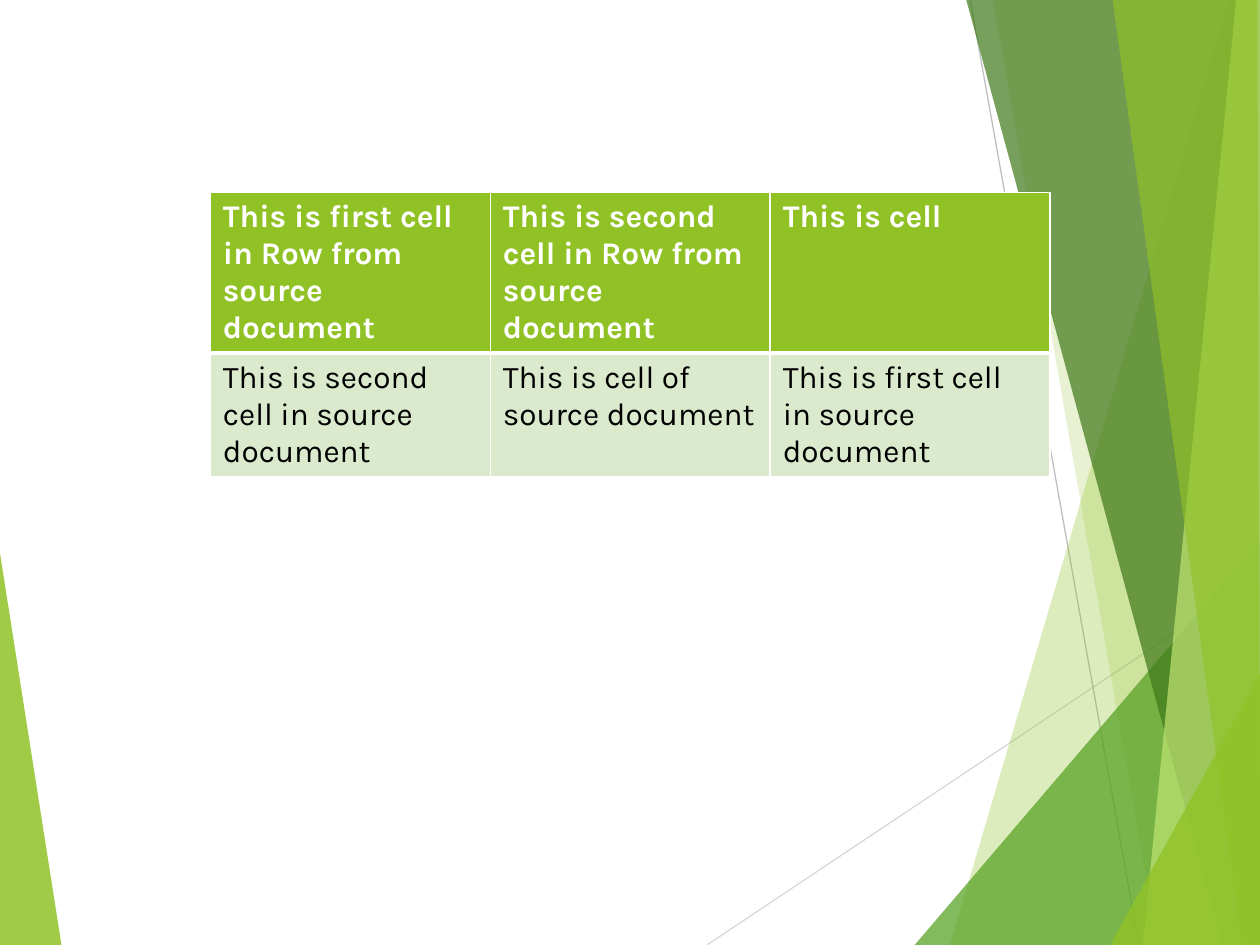
from lxml import etree
from pptx import Presentation
from pptx import util as u
from pptx.dml.color import RGBColor
from pptx.enum import shapes
from pptx.oxml import ns

Cm = u.Cm
WIDTH, HEIGHT = 25.4, 19.05
LIME = RGBColor(0x90, 0xC2, 0x26)
GREEN = RGBColor(0x54, 0xA0, 0x21)
FOREST = RGBColor(0x3F, 0x78, 0x19)
PALE_LIME = RGBColor(0xC0, 0xE4, 0x74)
MINT = RGBColor(0xDB, 0xE9, 0xCD)
LIGHT_GREY = RGBColor(0xD9, 0xD9, 0xD9)
GREY = RGBColor(0xBF, 0xBF, 0xBF)
WHITE = RGBColor(0xFF, 0xFF, 0xFF)
BLACK = RGBColor(0, 0, 0)

# Facets as colour, opacity in percent and corners in cm
LEFT_FACET = (LIME, 85, [(0, 11.15), (1.24, HEIGHT), (0, HEIGHT)])
RIGHT_FACETS = [
    (LIME, 30, [(24.77, 0), (19.15, HEIGHT), (WIDTH, HEIGHT), (WIDTH, 0)]),
    (LIME, 20, [(20.02, 0), (23.34, HEIGHT), (WIDTH, HEIGHT), (WIDTH, 0)]),
    (GREEN, 72, [(18.44, HEIGHT), (WIDTH, 10.9), (WIDTH, HEIGHT)]),
    (FOREST, 70, [(19.48, 0), (24.64, HEIGHT), (WIDTH, HEIGHT), (WIDTH, 0)]),
    (PALE_LIME, 70, [(24.92, 0), (23.04, HEIGHT), (WIDTH, HEIGHT), (WIDTH, 0)]),
    (LIME, 65, [(22.43, 0), (25.04, HEIGHT), (WIDTH, HEIGHT), (25.35, 0)]),
    (LIME, 80, [(22.38, HEIGHT), (WIDTH, 13.59), (WIDTH, HEIGHT)]),
]
RAYS = [
    (LIGHT_GREY, (14.25, HEIGHT), (WIDTH, 11.61)),
    (GREY, (19.56, 0), (22.96, HEIGHT)),
]
ROWS = [
    ["This is first cell in Row from source document",
     "This is second cell in Row from source document",
     "This is cell"],
    ["This is second cell in source document",
     "This is cell of source document",
     "This is first cell in source document"],
]


def add_facet(page, left, top, color, opacity, corners):
    points = [(Cm(left + x), Cm(top + y)) for x, y in corners]
    builder = page.shapes.build_freeform(*points[0])
    builder.add_line_segments(points[1:], close=True)
    facet = builder.convert_to_shape()
    facet.shadow.inherit = False
    facet.fill.solid()
    facet.fill.fore_color.rgb = color
    facet.line.fill.background()
    tint = facet.fill._xPr.find(".//" + ns.qn("a:srgbClr"))
    etree.SubElement(tint, ns.qn("a:alpha"), val=str(opacity * 1000))


def add_ray(page, left, top, color, start, end):
    ray = page.shapes.add_connector(
        shapes.MSO_CONNECTOR.STRAIGHT,
        Cm(left + start[0]), Cm(top + start[1]),
        Cm(left + end[0]), Cm(top + end[1]))
    ray.line.color.rgb = color
    ray.line.width = u.Pt(0.75)
    etree.SubElement(ray._element.spPr, ns.qn("a:effectLst"))


def add_backdrop(page, left, top):
    add_facet(page, left, top, *LEFT_FACET)
    for ray in RAYS:
        add_ray(page, left, top, *ray)
    for facet in RIGHT_FACETS:
        add_facet(page, left, top, *facet)


def set_borders(cell, widths):
    # Borders come before the fill in the cell properties
    props = cell._tc.get_or_add_tcPr()
    for index, (side, points) in enumerate(widths.items()):
        border = etree.Element(ns.qn("a:ln" + side), w=str(u.Pt(points)))
        fill = etree.SubElement(border, ns.qn("a:solidFill"))
        etree.SubElement(fill, ns.qn("a:srgbClr"), val=str(WHITE))
        props.insert(index, border)


def style_cell(cell, label, header, top_width, bottom_width):
    cell.text_frame.text = label
    font = cell.text_frame.paragraphs[0].runs[0].font
    font.name = "Karla"
    font.size = u.Pt(18)
    font.bold = header
    font.color.rgb = WHITE if header else BLACK
    cell.fill.solid()
    cell.fill.fore_color.rgb = LIME if header else MINT
    set_borders(cell, {"L": 1, "R": 1, "T": top_width, "B": bottom_width})


def add_cell_table(page, left, top, width, row_height):
    frame = page.shapes.add_table(
        len(ROWS), len(ROWS[0]), Cm(left), Cm(top),
        Cm(width), Cm(row_height * len(ROWS)))
    table = frame.table
    for r, labels in enumerate(ROWS):
        header = r == 0
        for c, label in enumerate(labels):
            style_cell(table.cell(r, c), label, header,
                       1 if header else 3, 3 if header else 1)


deck = Presentation()
deck.slide_width, deck.slide_height = Cm(WIDTH), Cm(HEIGHT)
page = deck.slides.add_slide(deck.slide_layouts[6])
add_backdrop(page, 0, 0)
add_cell_table(page, 4.24, 3.88, 16.93, 1.03)
deck.save("out.pptx")
